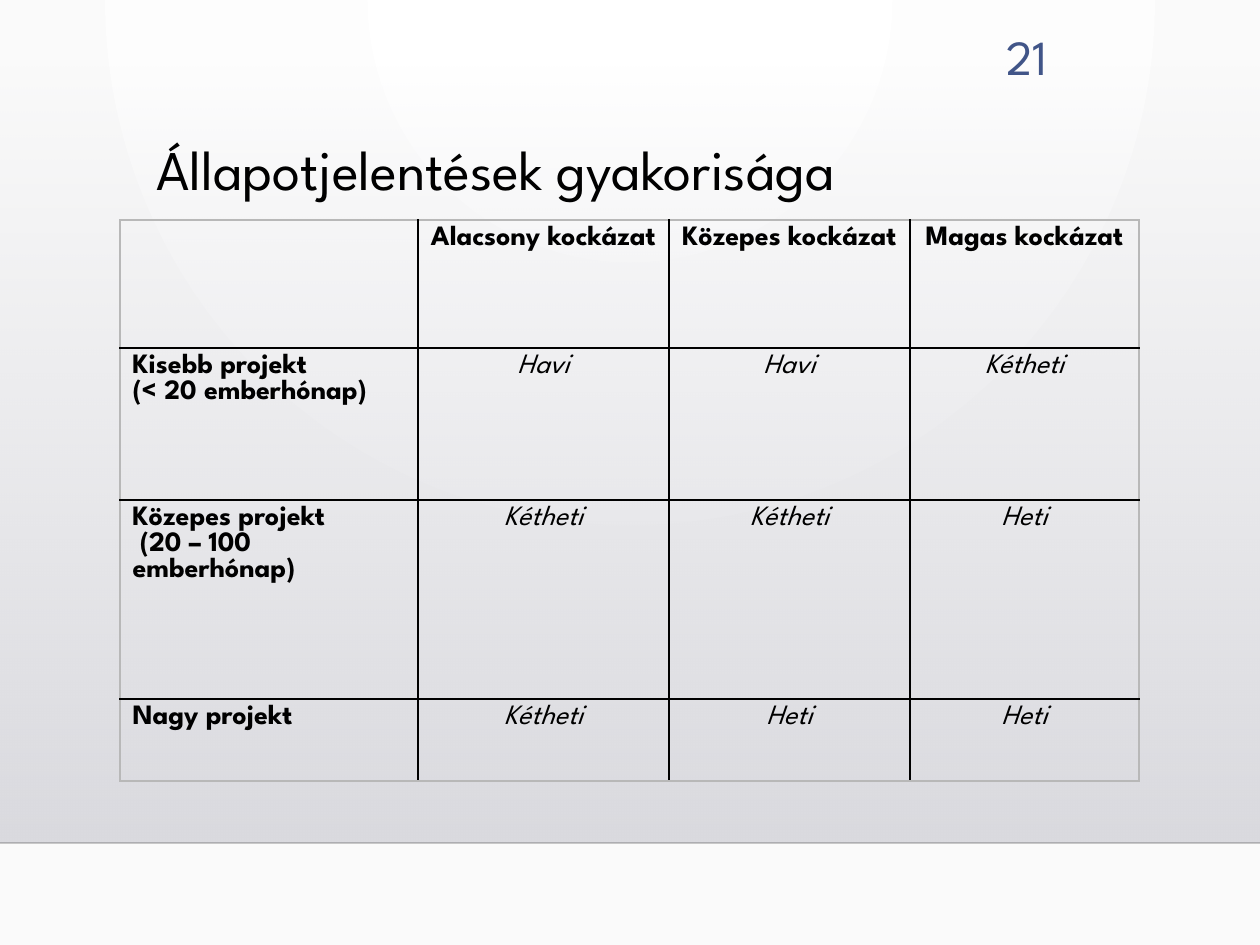
import pptx
import pptx.util
import pptx.dml.color
import pptx.enum.shapes
import pptx.enum.text
import pptx.oxml
import pptx.oxml.ns

RGBColor = pptx.dml.color.RGBColor
Align = pptx.enum.text.PP_ALIGN
Anchor = pptx.enum.text.MSO_ANCHOR
qn = pptx.oxml.ns.qn

FONT = "League Spartan"
BLACK = RGBColor(0x00, 0x00, 0x00)
NUMBER_BLUE = RGBColor(0x41, 0x55, 0x88)
WHITE = RGBColor(0xFF, 0xFF, 0xFF)
PAPER = RGBColor(0xFA, 0xFA, 0xFA)
FLOOR_GREY = RGBColor(0xDA, 0xDA, 0xDF)
FRAME_GREY = RGBColor(0xB8, 0xB8, 0xB8)

HEADINGS = ["", "Alacsony kockázat", "Közepes kockázat", "Magas kockázat"]
PROJECTS = [
    ["Kisebb projekt\n(< 20 emberhónap)", "Havi", "Havi", "Kétheti"],
    ["Közepes projekt\n (20 – 100 emberhónap)", "Kétheti", "Kétheti", "Heti"],
    ["Nagy projekt", "Kétheti", "Heti", "Heti"],
]
COLUMN_WIDTHS = [298, 251, 241, 229]
ROW_HEIGHTS = [128, 152, 199, 82]


def px(length):
    return pptx.util.Emu(length * 914400 // 126)


def xml(markup):
    """Parse a fragment whose root tag is written as <a:name ...>."""
    namespace = pptx.oxml.ns.nsdecls("a")
    end = min(i for i in (markup.find(" "), markup.find(">")) if i > 0)
    return pptx.oxml.parse_xml(f"{markup[:end]} {namespace}{markup[end:]}")


def gradient(stops, direction):
    marks = "".join(
        f'<a:gs pos="{position * 1000}"><a:srgbClr val="{color}">'
        f'<a:alpha val="{alpha * 1000}"/></a:srgbClr></a:gs>'
        for position, color, alpha in stops)
    return xml(f'<a:gradFill rotWithShape="1"><a:gsLst>{marks}</a:gsLst>{direction}</a:gradFill>')


def replace_gradient(parent, new_gradient):
    old = parent.find(".//" + qn("a:gradFill"))
    old.getparent().replace(old, new_gradient)


def write_text(frame, text, size=16, color=BLACK, bold=False, italic=False,
               align=Align.LEFT, spacing=None):
    frame.word_wrap = True
    for index, line in enumerate(text.split("\n")):
        paragraph = frame.paragraphs[0] if index == 0 else frame.add_paragraph()
        paragraph.alignment = align
        if spacing:
            paragraph.line_spacing = spacing
        run = paragraph.add_run()
        run.text = line
        run.font.name = FONT
        run.font.size = pptx.util.Pt(size)
        run.font.bold = bold
        run.font.italic = italic
        run.font.color.rgb = color


def add_text(slide, text, left, top, width, height, anchor=Anchor.TOP,
             inset_top=6, inset_bottom=6, **text_format):
    shape = slide.shapes.add_textbox(px(left), px(top), px(width), px(height))
    frame = shape.text_frame
    frame.vertical_anchor = anchor
    frame.margin_top, frame.margin_bottom = px(inset_top), px(inset_bottom)
    write_text(frame, text, **text_format)


def add_backdrop(slide, left, top, width, height):
    # Soft round glow centred on the upper edge
    slide.background.fill.gradient()
    replace_gradient(slide.element, gradient(
        [(0, WHITE, 100), (100, PAPER, 100)],
        '<a:path path="circle"><a:fillToRect l="43000" t="0" r="43000" b="100000"/></a:path>'))

    # Grey wall that fades out upwards
    wall = slide.shapes.add_shape(
        pptx.enum.shapes.MSO_SHAPE.RECTANGLE, px(left), px(top), px(width), px(height))
    wall.shadow.inherit = False
    wall.line.fill.background()
    wall.fill.gradient()
    replace_gradient(wall.element, gradient(
        [(0, FLOOR_GREY, 0), (100, FLOOR_GREY, 100)], '<a:lin ang="5400000" scaled="0"/>'))

    # Horizon
    bottom = px(top + height)
    horizon = slide.shapes.add_connector(
        pptx.enum.shapes.MSO_CONNECTOR.STRAIGHT, px(left), bottom, px(left + width), bottom)
    horizon.line.width = pptx.util.Pt(1)
    horizon.line.color.rgb = BLACK
    color = horizon.element.find(".//" + qn("a:ln")).find(".//" + qn("a:srgbClr"))
    color.append(xml('<a:alpha val="20000"/>'))
    horizon.element.spPr.append(xml("<a:effectLst></a:effectLst>"))


def set_borders(cell, is_frame):
    """Draw the four sides: grey on the outer frame, black inside."""
    properties = cell._tc.get_or_add_tcPr()
    for index, side in enumerate(("lnL", "lnR", "lnT", "lnB")):
        color = FRAME_GREY if is_frame[side] else BLACK
        properties.insert(index, xml(
            f'<a:{side} w="12700"><a:solidFill><a:srgbClr val="{color}"/></a:solidFill></a:{side}>'))


def add_frequency_table(slide, left, top):
    rows = [HEADINGS] + PROJECTS
    last_row, last_column = len(rows) - 1, len(HEADINGS) - 1
    table = slide.shapes.add_table(
        len(rows), len(HEADINGS), px(left), px(top),
        px(sum(COLUMN_WIDTHS)), px(sum(ROW_HEIGHTS))).table
    table.first_row = table.horz_banding = False
    for column, width in zip(table.columns, COLUMN_WIDTHS):
        column.width = px(width)
    for row, height in zip(table.rows, ROW_HEIGHTS):
        row.height = px(height)

    for r, texts in enumerate(rows):
        for c, text in enumerate(texts):
            cell = table.cell(r, c)
            cell.fill.background()
            set_borders(cell, {"lnL": c == 0, "lnR": c == last_column,
                               "lnT": r == 0, "lnB": r == last_row})
            is_label = r == 0 or c == 0
            if text:
                write_text(cell.text_frame, text, bold=is_label, italic=not is_label,
                           align=Align.LEFT if c == 0 else Align.CENTER)


def main():
    presentation = pptx.Presentation()
    presentation.slide_width, presentation.slide_height = px(1260), px(945)
    slide = presentation.slides.add_slide(presentation.slide_layouts[6])

    add_backdrop(slide, 0, 64, 1260, 779)
    add_text(slide, "Állapotjelentések gyakorisága", 144, 120, 1159 - 0, 116,
             inset_top=22, size=32, spacing=0.9)
    add_text(slide, "21", 950, 18, 110, 69, anchor=Anchor.BOTTOM, inset_bottom=2,
             size=28, color=NUMBER_BLUE, align=Align.RIGHT)
    add_frequency_table(slide, 120, 220)

    presentation.save("out.pptx")


if __name__ == "__main__":
    main()
